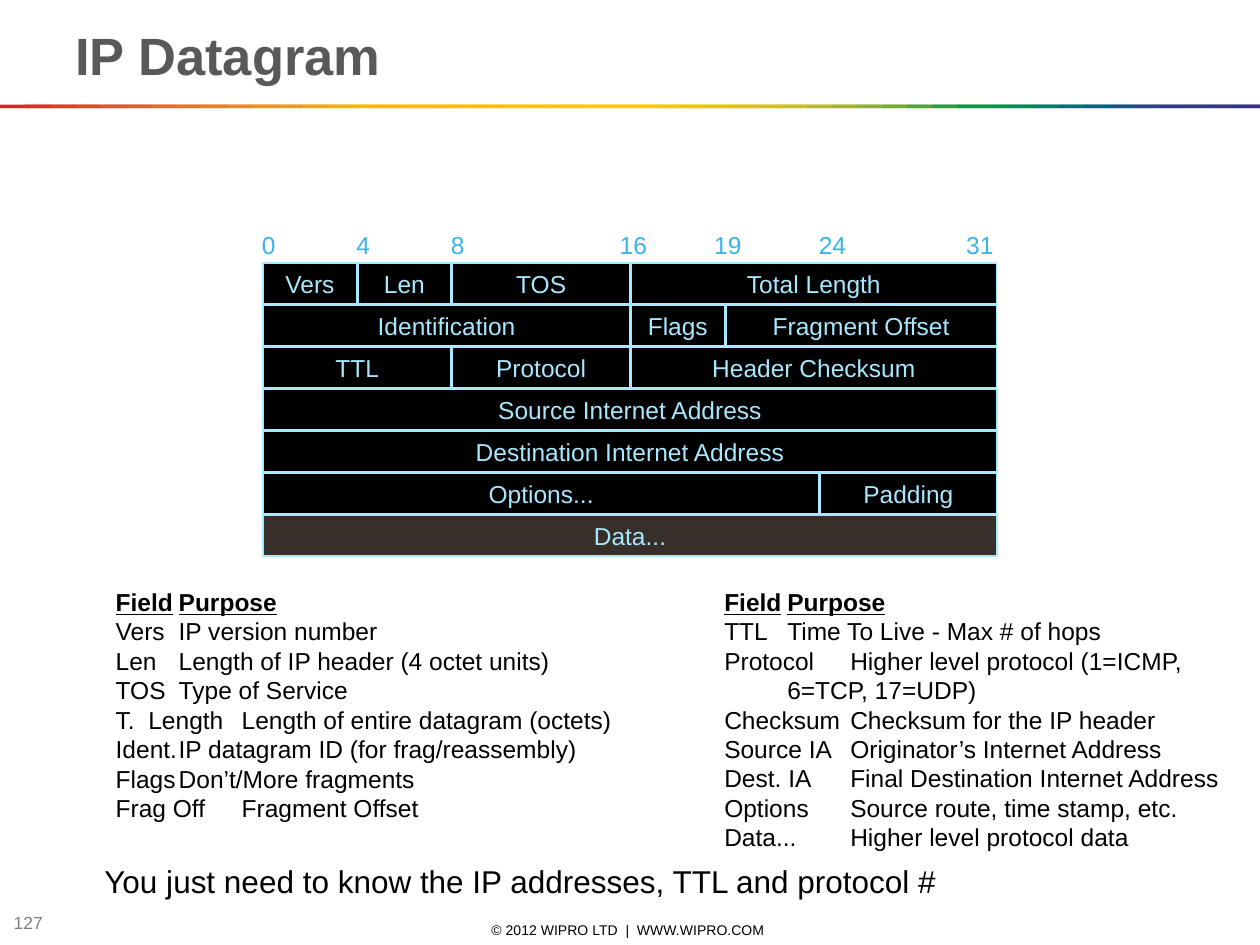
from lxml.etree import SubElement
from pptx import Presentation
from pptx.dml.color import RGBColor
from pptx.enum.shapes import MSO_SHAPE
from pptx.enum.text import MSO_ANCHOR, PP_ALIGN
from pptx.oxml.ns import qn
from pptx.util import Inches, Pt

BLACK = RGBColor(0x00, 0x00, 0x00)
GREY = RGBColor(0x80, 0x80, 0x80)
DARK = RGBColor(0x59, 0x59, 0x59)
BROWN = RGBColor(0x37, 0x30, 0x2A)
PALE = RGBColor(0xA7, 0xE8, 0xFF)
BLUE = RGBColor(0x39, 0xB3, 0xE9)
BAND = [RGBColor.from_string(code) for code in """
    E31E24 E42C24 E53A24 E74623 E85122 EA5D21 EC691F EE741D EF7E1A F18817
    F39314 F49C0F F6A607 F8B002 FBBA00 FBBB00 FBBD00 FCBF00 FCC000 FCC200
    FDC400 FDC600 FDC700 FEC900 FECB00 FBCB00 F3CA00 ECC800 E4C602 DCC50A
    D5C30E CCC117 B8BC21 A3B829 8CB230 71AD36 51A73B 1DA240 009D43 009846
    008C57 008068 007275 00637F 185384 2E4285 313E85 333B85 353885 393185
""".split()]

EDGES = {0: 2.09, 4: 2.84, 8: 3.59, 16: 5.01, 19: 5.76, 24: 6.51, 32: 7.92}
MARKS = {0: 1.98, 4: 2.73, 8: 3.48, 16: 4.82, 19: 5.57, 24: 6.4, 31: 7.57}
ROWS = [
    [(0, "Vers"), (4, "Len"), (8, "TOS"), (16, "Total Length")],
    [(0, "Identification"), (16, "Flags"), (19, "Fragment Offset")],
    [(0, "TTL"), (8, "Protocol"), (16, "Header Checksum")],
    [(0, "Source Internet Address")],
    [(0, "Destination Internet Address")],
    [(0, "Options..."), (24, "Padding")],
    [(0, "Data...")],
]
LEFT = [
    "Field\tPurpose",
    "Vers\tIP version number",
    "Len\tLength of IP header (4 octet units)",
    "TOS\tType of Service",
    "T.  Length\tLength of entire datagram (octets)",
    "Ident.\tIP datagram ID (for frag/reassembly)",
    "Flags\tDon’t/More fragments",
    "Frag Off\tFragment Offset",
]
RIGHT = [
    "Field\tPurpose",
    "TTL\tTime To Live - Max # of hops",
    "Protocol\tHigher level protocol (1=ICMP,",
    "\t6=TCP, 17=UDP)",
    "Checksum\tChecksum for the IP header",
    "Source IA\tOriginator’s Internet Address",
    "Dest. IA\tFinal Destination Internet Address",
    "Options\tSource route, time stamp, etc.",
    "Data...\tHigher level protocol data",
]


def write(para, text, size=14, color=BLACK, bold=False, under=False,
          align=PP_ALIGN.LEFT, tabs=()):
    if tabs:
        stops = SubElement(para._p.get_or_add_pPr(), qn("a:tabLst"))
        for stop in tabs:
            SubElement(stops, qn("a:tab"), pos=str(Inches(stop)), algn="l")
    para.alignment = align
    run = para.add_run()
    run.text = text
    font = run.font
    font.name = "Arial"
    font.size = Pt(size)
    font.color.rgb = color
    font.bold = bold
    font.underline = under


class Deck:
    def __init__(self):
        self.show = Presentation()
        self.show.slide_width = Inches(10)
        self.show.slide_height = Inches(7.5)
        self.slide = self.show.slides.add_slide(self.show.slide_layouts[6])

    def rect(self, x, y, w, h, fill):
        shape = self.slide.shapes.add_shape(
            MSO_SHAPE.RECTANGLE, Inches(x), Inches(y), Inches(w), Inches(h))
        shape.shadow.inherit = False
        shape.fill.solid()
        shape.fill.fore_color.rgb = fill
        shape.line.fill.background()
        return shape

    def cell(self, x, y, w, h, text, fill):
        shape = self.rect(x, y, w, h, fill)
        shape.line.color.rgb = PALE
        shape.line.width = Pt(1)
        frame = shape.text_frame
        frame.word_wrap = False
        frame.vertical_anchor = MSO_ANCHOR.MIDDLE
        write(frame.paragraphs[0], text, color=PALE, align=PP_ALIGN.CENTER)

    def frame(self, x, y, w, h, anchor=MSO_ANCHOR.TOP, wrap=True):
        box = self.slide.shapes.add_textbox(
            Inches(x), Inches(y), Inches(w), Inches(h))
        frame = box.text_frame
        frame.word_wrap = wrap
        frame.vertical_anchor = anchor
        return frame

    def label(self, x, y, w, h, text, anchor=MSO_ANCHOR.TOP, wrap=True, **style):
        frame = self.frame(x, y, w, h, anchor, wrap)
        write(frame.paragraphs[0], text, **style)

    def notes(self, x, y, w, h, lines):
        frame = self.frame(x, y, w, h)
        for i, line in enumerate(lines):
            para = frame.add_paragraph() if i else frame.paragraphs[0]
            write(para, line, bold=i == 0, under=i == 0, tabs=(0.5, 1))


def main():
    deck = Deck()
    deck.label(3.4, 7.3, 3.17, 0.16, "© 2012 WIPRO LTD  |  WWW.WIPRO.COM",
               anchor=MSO_ANCHOR.MIDDLE, size=8, align=PP_ALIGN.CENTER)
    deck.label(0.01, 7.22, 0.75, 0.21, "127",
               anchor=MSO_ANCHOR.MIDDLE, size=10, color=GREY)

    step = 0.2
    for i, color in enumerate(BAND):
        left = i * step
        deck.rect(left, 0.83, min(2 * step, 10 - left), 0.03, color)

    deck.label(0.5, 0.12, 9, 0.61, "IP Datagram",
               anchor=MSO_ANCHOR.BOTTOM, size=30, color=DARK, bold=True)

    for i, row in enumerate(ROWS):
        ends = [bit for bit, name in row[1:]] + [32]
        fill = BROWN if row is ROWS[-1] else BLACK
        for (bit, name), end in zip(row, ends):
            left = EDGES[bit]
            deck.cell(left, 2.09 + i / 3, EDGES[end] - left - 0.01, 0.32,
                      name, fill)

    for bit, left in MARKS.items():
        deck.label(left, 1.78, 0.31 if bit < 10 else 0.42, 0.33, str(bit),
                   wrap=False, color=BLUE)

    deck.notes(0.82, 4.61, 4.36, 2.19, LEFT)
    deck.notes(5.65, 4.61, 4.2, 2.43, RIGHT)
    deck.label(0.73, 6.79, 9.15, 0.5,
               "You just need to know the IP addresses, TTL and protocol #",
               size=18)
    deck.show.save("out.pptx")


if __name__ == "__main__":
    main()
